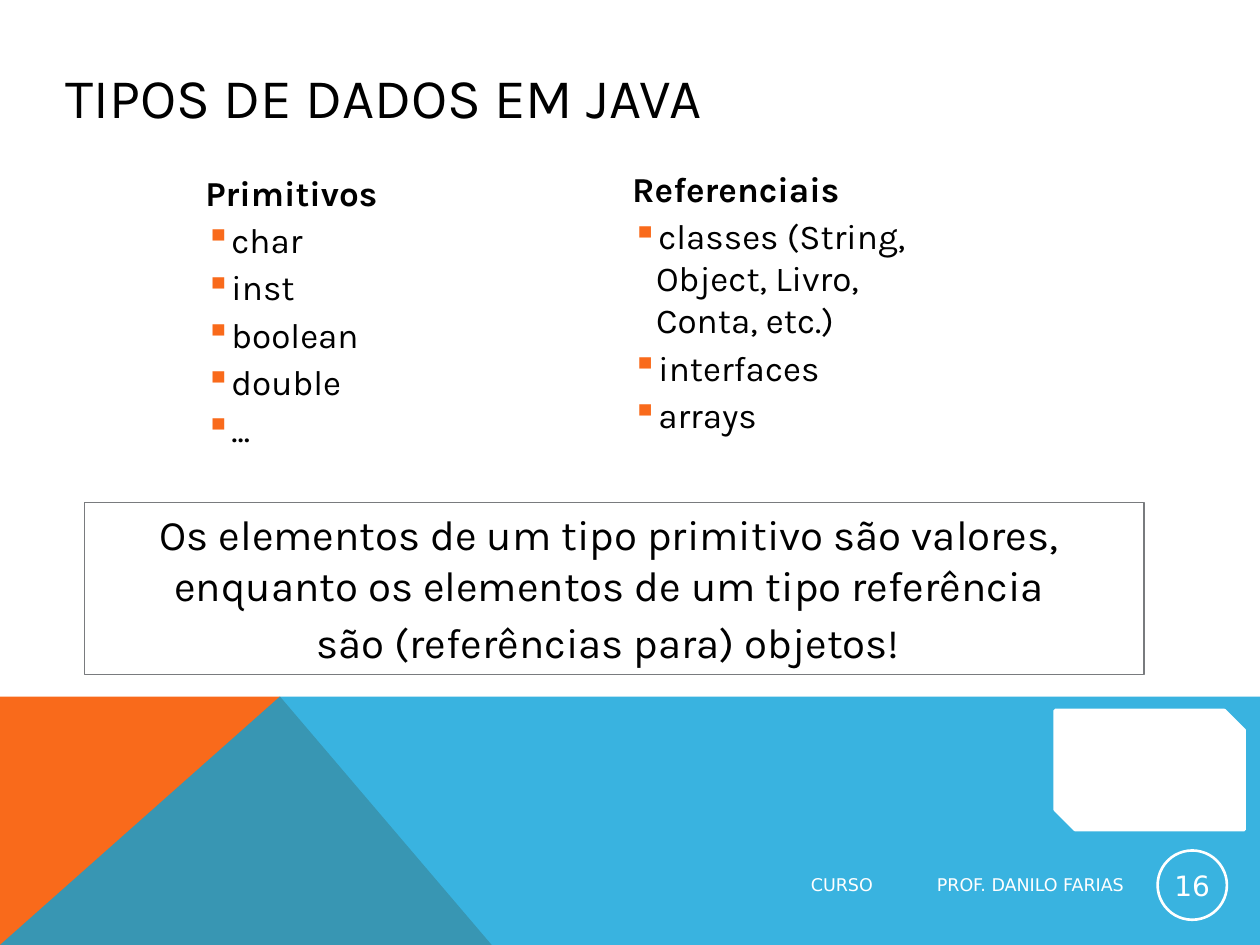
import pptx
import pptx.dml.color
import pptx.enum.shapes
import pptx.enum.text
import pptx.oxml
import pptx.oxml.ns
import pptx.util
from lxml import etree

Pt = pptx.util.Pt
SHAPES = pptx.enum.shapes.MSO_SHAPE
ALIGN = pptx.enum.text.PP_ALIGN
ANCHOR = pptx.enum.text.MSO_ANCHOR

COLORS = {"text": "000000", "white": "FFFFFF", "orange": "F96A1B",
          "blue": "08A1D9", "gray": "797B7E"}
BODY_FONT, FOOTER_FONT = "Karla", "DejaVu Sans"
WIDTH, HEIGHT = 720, 540
BAND_TOP, PEAK = 397.5, 160.5

TITLE = "TIPOS DE DADOS EM JAVA"
COLUMNS = [
    {"box": (110.2, 94.3, 278, 238.3), "heading": "Primitivos",
     "items": ["char", "inst", "boolean", "double", "..."]},
    {"box": (354.2, 92.2, 204.5, 294.5), "heading": "Referenciais",
     "items": ["classes (String, Object, Livro, Conta, etc.)",
               "interfaces", "arrays"]},
]
# The trailing spaces take part in the centring of each line.
SUMMARY = ["Os elementos de um tipo primitivo são valores, ",
           "enquanto os elementos de um tipo referência ",
           "são (referências para) objetos!"]
FOOTER = "CURSO\tPROF. DANILO FARIAS"
PAGE_NUMBER = "16"


def rgb(name):
    return pptx.dml.color.RGBColor.from_string(COLORS[name])


def points(values):
    return [Pt(value) for value in values]


def style(shape, fill=None, line=None, line_width=0.75):
    shape.shadow.inherit = False
    if fill:
        shape.fill.solid()
        shape.fill.fore_color.rgb = rgb(fill)
    else:
        shape.fill.background()
    if line:
        shape.line.color.rgb = rgb(line)
        shape.line.width = Pt(line_width)
    else:
        shape.line.fill.background()


def add_polygon(slide, corners, fill, alpha=None):
    builder = slide.shapes.build_freeform(*corners[0], scale=12700)
    builder.add_line_segments(corners[1:], close=True)
    shape = builder.convert_to_shape()
    style(shape, fill)
    if alpha:
        color = shape.fill._xPr.find(".//" + pptx.oxml.ns.qn("a:srgbClr"))
        etree.SubElement(color, pptx.oxml.ns.qn("a:alpha"), val=str(alpha * 1000))


def add_bullet(paragraph, indent=13.7):
    properties = paragraph._p.get_or_add_pPr()
    properties.set("lvl", "1")
    properties.set("marL", str(Pt(indent)))
    properties.set("indent", str(-Pt(indent)))
    color = etree.SubElement(properties, pptx.oxml.ns.qn("a:buClr"))
    etree.SubElement(color, pptx.oxml.ns.qn("a:srgbClr"), val=COLORS["orange"])
    etree.SubElement(properties, pptx.oxml.ns.qn("a:buChar"), char="▪")


def add_tab(paragraph, position):
    tabs = etree.SubElement(paragraph._p.get_or_add_pPr(), pptx.oxml.ns.qn("a:tabLst"))
    etree.SubElement(tabs, pptx.oxml.ns.qn("a:tab"), pos=str(Pt(position)), algn="l")


def write(frame, text, size=20, font=BODY_FONT, color="text", bold=False,
          align=ALIGN.LEFT, before=0, bullet=False, tab=None):
    """Fill the frame's first paragraph, or append one if it has text."""
    first = frame.paragraphs[0]
    paragraph = frame.add_paragraph() if first.runs else first
    paragraph.alignment = align
    paragraph.space_before = Pt(before)
    if bullet:
        add_bullet(paragraph)
    if tab:
        add_tab(paragraph, tab)
    run = paragraph.add_run()
    run.text = text
    run.font.size = Pt(size)
    run.font.name = font
    run.font.bold = bold
    run.font.color.rgb = rgb(color)
    return paragraph


def add_frame(slide, box):
    frame = slide.shapes.add_textbox(*points(box)).text_frame
    frame.word_wrap = True
    return frame


def add_background(slide):
    add_polygon(slide, [(0, HEIGHT), (0, BAND_TOP), (PEAK, BAND_TOP),
                        (281.3, HEIGHT)], "orange")
    add_polygon(slide, [(0, HEIGHT), (PEAK, BAND_TOP), (WIDTH, BAND_TOP),
                        (WIDTH, HEIGHT)], "blue", alpha=80)
    plate = slide.shapes.add_shape(SHAPES.SNIP_2_DIAG_RECTANGLE,
                                   *points((603, 406, 108, 68)))
    style(plate, "white", "white", 2)


def add_title(slide):
    title = slide.shapes.title
    title.left, title.top, title.width, title.height = points((30.2, 15.1, 511.2, 79.2))
    title.text_frame.vertical_anchor = ANCHOR.MIDDLE
    write(title.text_frame, TITLE, size=32)


def add_column(slide, column):
    frame = add_frame(slide, column["box"])
    write(frame, column["heading"], bold=True)
    for item in column["items"]:
        write(frame, item, before=3, bullet=True)


def add_footer(slide):
    frame = add_frame(slide, (277.2, 494.6, 372.2, 21.6))
    frame.vertical_anchor = ANCHOR.MIDDLE
    frame.margin_left, frame.margin_right = Pt(186.2), 0
    write(frame, FOOTER, size=10, font=FOOTER_FONT, color="white", tab=72)

    circle = slide.shapes.add_shape(SHAPES.OVAL, *points((661.5, 486, 39.6, 39.6)))
    style(circle, line="white", line_width=1.5)
    frame = circle.text_frame
    frame.margin_left = frame.margin_right = Pt(0.7)
    frame.margin_top = frame.margin_bottom = Pt(0.7)
    frame.vertical_anchor = ANCHOR.MIDDLE
    write(frame, PAGE_NUMBER, size=16, font=FOOTER_FONT, color="white",
          align=ALIGN.CENTER)


def add_summary(slide):
    box = slide.shapes.add_shape(SHAPES.RECTANGLE, *points((48.2, 287.2, 605.5, 98.4)))
    style(box, line="gray")
    frame = box.text_frame
    frame.word_wrap = True
    frame.vertical_anchor = ANCHOR.TOP
    for line in SUMMARY:
        paragraph = write(frame, line, size=24, align=ALIGN.CENTER)
    # A larger closing space opens up the last line.
    space = paragraph.add_run()
    space.text = " "
    space.font.size = Pt(28)
    space.font.name = BODY_FONT


def main():
    presentation = pptx.Presentation()
    presentation.slide_width, presentation.slide_height = Pt(WIDTH), Pt(HEIGHT)
    slide = presentation.slides.add_slide(presentation.slide_layouts[5])
    add_background(slide)
    add_title(slide)
    for column in COLUMNS:
        add_column(slide, column)
    add_footer(slide)
    add_summary(slide)
    presentation.save("out.pptx")


if __name__ == "__main__":
    main()
